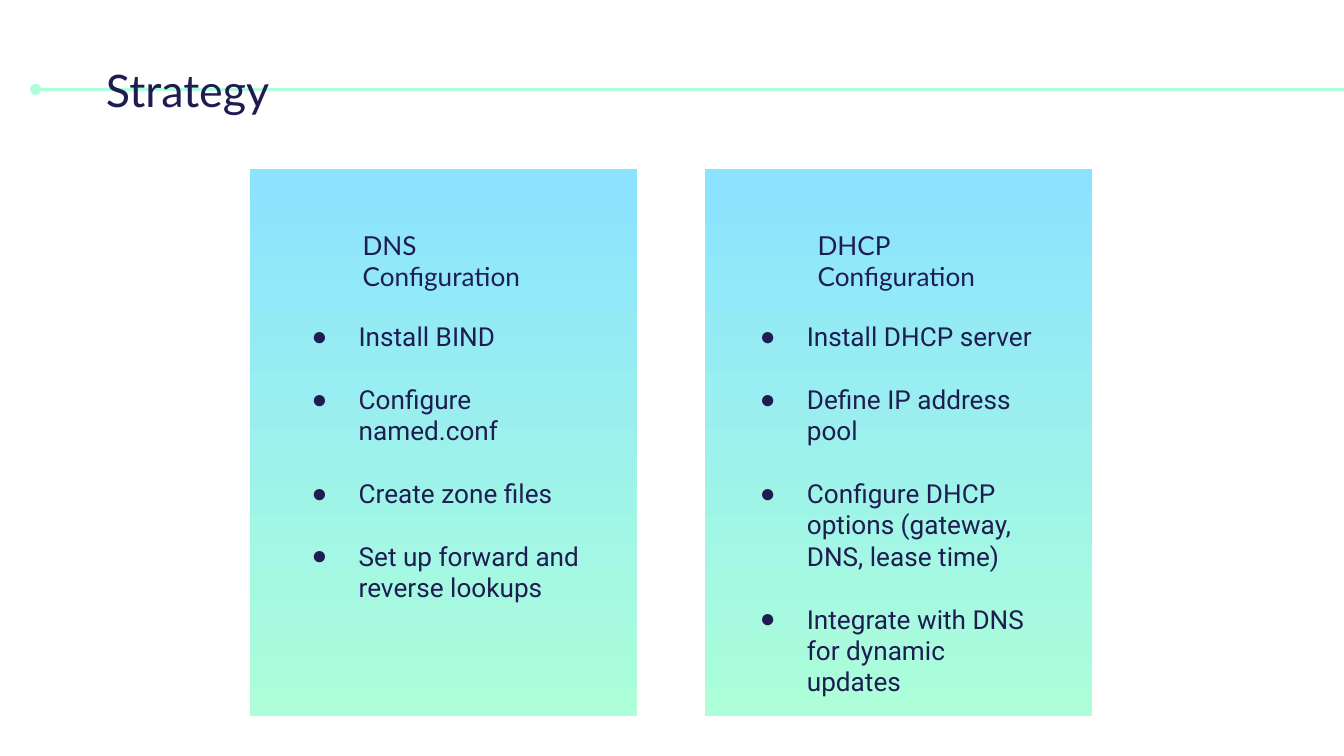
from dataclasses import dataclass

from lxml import etree
from pptx import Presentation
from pptx import util as u
from pptx.dml.color import RGBColor
from pptx.enum import shapes, text
from pptx.oxml import ns

EMU_PER_PX = 4572
SLIDE_WIDTH, SLIDE_HEIGHT = 2000, 1125
NAVY = "1F1C51"
SKY = "8BE3FF"
MINT = "ACFFD9"
CARD_TOP, CARD_WIDTH, CARD_HEIGHT = 252, 576, 814
HEADING_OFFSET = 148
RULE_LEFT, RULE_TOP = 53, 133
INSET = 20


@dataclass(frozen=True)
class Card:
    left: int
    body_left: int
    heading: str
    steps: tuple[str, ...]


CARDS = (
    Card(372, 414, "DNS Configuration", (
        "Install BIND",
        "Configure named.conf",
        "Create zone files",
        "Set up forward and reverse lookups",
    )),
    Card(1049, 1081, "DHCP Configuration", (
        "Install DHCP server",
        "Define IP address pool",
        "Configure DHCP options (gateway, DNS, lease time)",
        "Integrate with DNS for dynamic updates",
    )),
)


def px(length: int) -> u.Emu:
    return u.Emu(length * EMU_PER_PX)


def color(value: str) -> RGBColor:
    return RGBColor.from_string(value)


def add_child(parent, tag: str, **attributes: str):
    return etree.SubElement(parent, ns.qn(tag), attributes)


def add_bullet(paragraph) -> None:
    properties = paragraph._p.get_or_add_pPr()
    properties.set("marL", str(px(100)))
    properties.set("indent", str(px(-70)))
    add_child(add_child(properties, "a:buClr"), "a:srgbClr", val=NAVY)
    add_child(properties, "a:buFont", typeface="Arial")
    add_child(properties, "a:buChar", char="●")


def add_text(slide, box: tuple[int, int, int, int], lines: tuple[str, ...],
             font_name: str, size: int, bulleted: bool = False) -> None:
    frame = slide.shapes.add_textbox(*map(px, box)).text_frame
    frame.word_wrap = True
    frame.vertical_anchor = text.MSO_ANCHOR.TOP
    frame.margin_left = frame.margin_right = px(INSET)
    frame.margin_top = frame.margin_bottom = px(INSET)
    for index, line in enumerate(lines):
        paragraph = frame.add_paragraph() if index else frame.paragraphs[0]
        paragraph.text = line
        if bulleted:
            add_bullet(paragraph)
        if index:
            paragraph.space_before = u.Pt(16.8)
        paragraph.font.name = font_name
        paragraph.font.size = u.Pt(size)
        paragraph.font.color.rgb = color(NAVY)


def add_rule(slide) -> None:
    rule = slide.shapes.add_connector(
        shapes.MSO_CONNECTOR.STRAIGHT,
        px(RULE_LEFT), px(RULE_TOP), px(SLIDE_WIDTH), px(RULE_TOP))
    rule.line.color.rgb = color(MINT)
    rule.line.width = u.Pt(1.5)
    add_child(rule.line._get_or_add_ln(), "a:headEnd", type="oval")
    add_child(rule._element.spPr, "a:effectLst")


def add_card(slide, card: Card) -> None:
    panel = slide.shapes.add_shape(
        shapes.MSO_SHAPE.RECTANGLE,
        px(card.left), px(CARD_TOP), px(CARD_WIDTH), px(CARD_HEIGHT))
    panel.shadow.inherit = False
    panel.line.fill.background()
    panel.fill.gradient()
    panel.fill.gradient_angle = 270
    for stop, value in zip(panel.fill.gradient_stops, (SKY, MINT)):
        stop.color.rgb = color(value)
    add_text(slide, (card.left + HEADING_OFFSET, 321, 280, 82),
             (card.heading,), "Lato", 14)
    add_text(slide, (card.body_left, 457, 484, 498),
             card.steps, "Roboto", 14, bulleted=True)


def main() -> None:
    presentation = Presentation()
    presentation.slide_width = px(SLIDE_WIDTH)
    presentation.slide_height = px(SLIDE_HEIGHT)
    slide = presentation.slides.add_slide(presentation.slide_layouts[6])
    add_rule(slide)
    add_text(slide, (138, 74, 1330, 118), ("Strategy",), "Lato", 24)
    for card in CARDS:
        add_card(slide, card)
    presentation.save("out.pptx")


if __name__ == "__main__":
    main()
